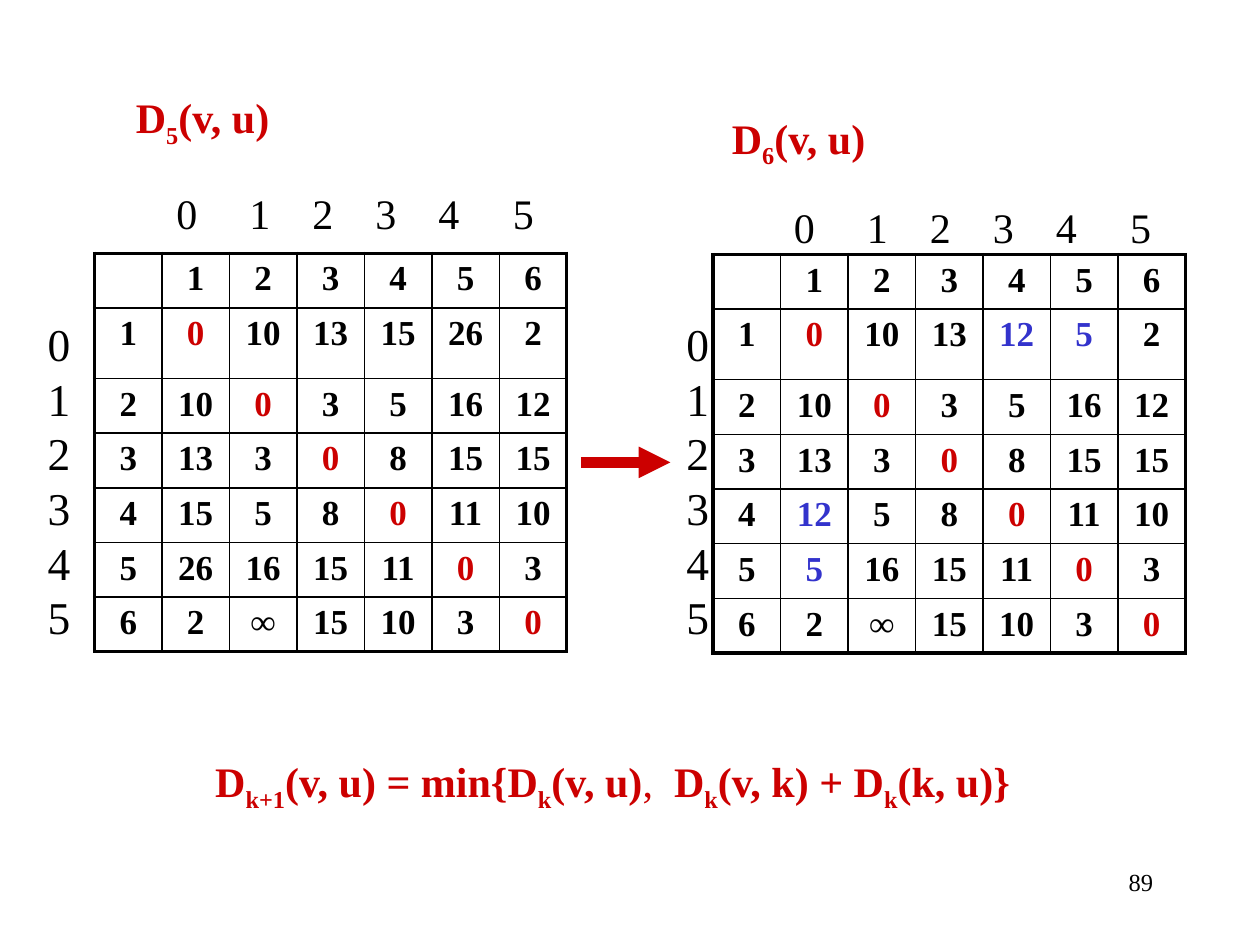
"""Build a slide that shows one step of the shortest path matrices."""
import pptx
import pptx.dml.color
import pptx.enum.shapes
import pptx.enum.text
import pptx.oxml.ns
import pptx.util
from lxml import etree

Inches = pptx.util.Inches
Pt = pptx.util.Pt
ALIGN = pptx.enum.text.PP_ALIGN
qn = pptx.oxml.ns.qn

THEME = {
    "font": "Times New Roman",
    "black": "000000", "red": "CC0000", "blue": "3333CC",
    "head": 24, "side": 26, "cell": 20, "page": 14,
    "thin": 1, "thick": 2.25, "arrow": 6,
}

INDEX = ["0", "1", "2", "3", "4", "5"]
STOPS = [0.58, 1.08, 1.58, 2.08, 2.67]
BASE = [
    ["", "1", "2", "3", "4", "5", "6"],
    ["1", "0", "10", "13", "15", "26", "2"],
    ["2", "10", "0", "3", "5", "16", "12"],
    ["3", "13", "3", "0", "8", "15", "15"],
    ["4", "15", "5", "8", "0", "11", "10"],
    ["5", "26", "16", "15", "11", "0", "3"],
    ["6", "2", "∞", "15", "10", "3", "0"],
]
GRIDS = [
    {"step": "5", "title": (0.98, 0.68), "top": (1.22, 1.44),
     "side": (0.28, 2.46), "table": (0.75, 2.01), "news": {}},
    {"step": "6", "title": (5.71, 0.84), "top": (6.12, 1.55),
     "side": (5.35, 2.46), "table": (5.66, 2.02),
     "news": {(1, 4): "12", (1, 5): "5", (4, 1): "12", (5, 1): "5"}},
]
RULE = [
    ("D", ""), ("k+1", "sub"), ("(v, u) = min{D", ""), ("k", "sub"),
    ("(v, u)", ""), (",  ", "light"), ("D", ""), ("k", "sub"),
    ("(v, k) + D", ""), ("k", "sub"), ("(k, u)}", ""),
]
WIDE, HIGH, TALL = 3.75, 3.16, 0.56


def write(frame, lines, size, color="black", bold=False, align=None,
          pitch=None, stops=()):
    """Fill a frame with lines, each a string or a list of styled parts."""
    for num, line in enumerate(lines):
        para = frame.add_paragraph() if num else frame.paragraphs[0]
        para.alignment = align
        if pitch:
            para.line_spacing = Pt(pitch)
        if stops:
            tabs = etree.SubElement(para._p.get_or_add_pPr(), qn("a:tabLst"))
            for stop in stops:
                etree.SubElement(tabs, qn("a:tab"), pos=str(Inches(stop)), algn="l")
        for text, style in [(line, "")] if isinstance(line, str) else line:
            run = para.add_run()
            run.text = text
            font = run.font
            font.name = THEME["font"]
            font.size = Pt(THEME[size])
            font.bold = bold and style != "light"
            font.color.rgb = pptx.dml.color.RGBColor.from_string(THEME[color])
            if style == "sub":
                run._r.get_or_add_rPr().set("baseline", "-25000")


def box(slide, spot, dims, wrap=True, grow=True):
    """Add a text box and return its frame."""
    frame = slide.shapes.add_textbox(*map(Inches, spot + dims)).text_frame
    frame.word_wrap = wrap
    if grow:
        frame.auto_size = pptx.enum.text.MSO_AUTO_SIZE.SHAPE_TO_FIT_TEXT
    return frame


def edge(cell, sides):
    """Draw the cell borders, thick where the side is on the outside."""
    props = cell._tc.get_or_add_tcPr()
    for place, (tag, outer) in enumerate(sides.items()):
        width = Pt(THEME["thick" if outer else "thin"])
        line = etree.Element(qn("a:" + tag), w=str(width))
        fill = etree.SubElement(line, qn("a:solidFill"))
        etree.SubElement(fill, qn("a:srgbClr"), val=THEME["black"])
        props.insert(place, line)


def grid(slide, spot, news):
    """Add a distance table with its changed values in blue."""
    count = len(BASE)
    dims = tuple(map(Inches, spot + (WIDE, HIGH)))
    table = slide.shapes.add_table(count, count, *dims).table
    table.first_row = table.horz_banding = False
    for num in range(count):
        table.columns[num].width = Inches(WIDE / count)
        table.rows[num].height = Inches(TALL if num == 1 else (HIGH - TALL) / (count - 1))
    last = count - 1
    for row, vals in enumerate(BASE):
        for col, val in enumerate(vals):
            cell = table.cell(row, col)
            cell.fill.background()
            edge(cell, {"lnL": col == 0, "lnR": col == last,
                        "lnT": row == 0, "lnB": row == last})
            color = "blue" if (row, col) in news else "red" if row == col else "black"
            text = news.get((row, col), val)
            if text:
                write(cell.text_frame, [text], "cell", color, bold=True,
                      align=ALIGN.CENTER)


def arrow(slide, start, end):
    """Add a straight red arrow."""
    kind = pptx.enum.shapes.MSO_CONNECTOR.STRAIGHT
    link = slide.shapes.add_connector(kind, *map(Inches, start + end))
    link.line.width = Pt(THEME["arrow"])
    link.line.color.rgb = pptx.dml.color.RGBColor.from_string(THEME["red"])
    etree.SubElement(link.line._get_or_add_ln(), qn("a:tailEnd"), type="triangle")
    etree.SubElement(link._element.spPr, qn("a:effectLst"))


def main():
    """Build and save the slide."""
    deck = pptx.Presentation()
    deck.slide_width, deck.slide_height = Inches(10), Inches(7.5)
    slide = deck.slides.add_slide(deck.slide_layouts[6])
    for part in GRIDS:
        name = [("D", ""), (part["step"], "sub"), ("(v, u)", "")]
        write(box(slide, part["title"], (3.83, 0.5)), [name], "head", "red", bold=True)
        top = box(slide, part["top"], (3.28, 0.5))
        top.margin_left = Inches(0.18)
        write(top, ["\t".join(INDEX)], "head", stops=STOPS)
        side = box(slide, part["side"], (0.83, 2.7), wrap=False)
        write(side, INDEX, "side", pitch=31.2)
        grid(slide, part["table"], part["news"])
    arrow(slide, (4.61, 3.67), (5.32, 3.67))
    write(box(slide, (1.61, 5.95), (6.66, 0.5), wrap=False), [RULE], "head",
          "red", bold=True)
    write(box(slide, (7.17, 6.83), (2.08, 0.5), grow=False), ["89"], "page",
          align=ALIGN.RIGHT)
    deck.save("out.pptx")


if __name__ == "__main__":
    main()
